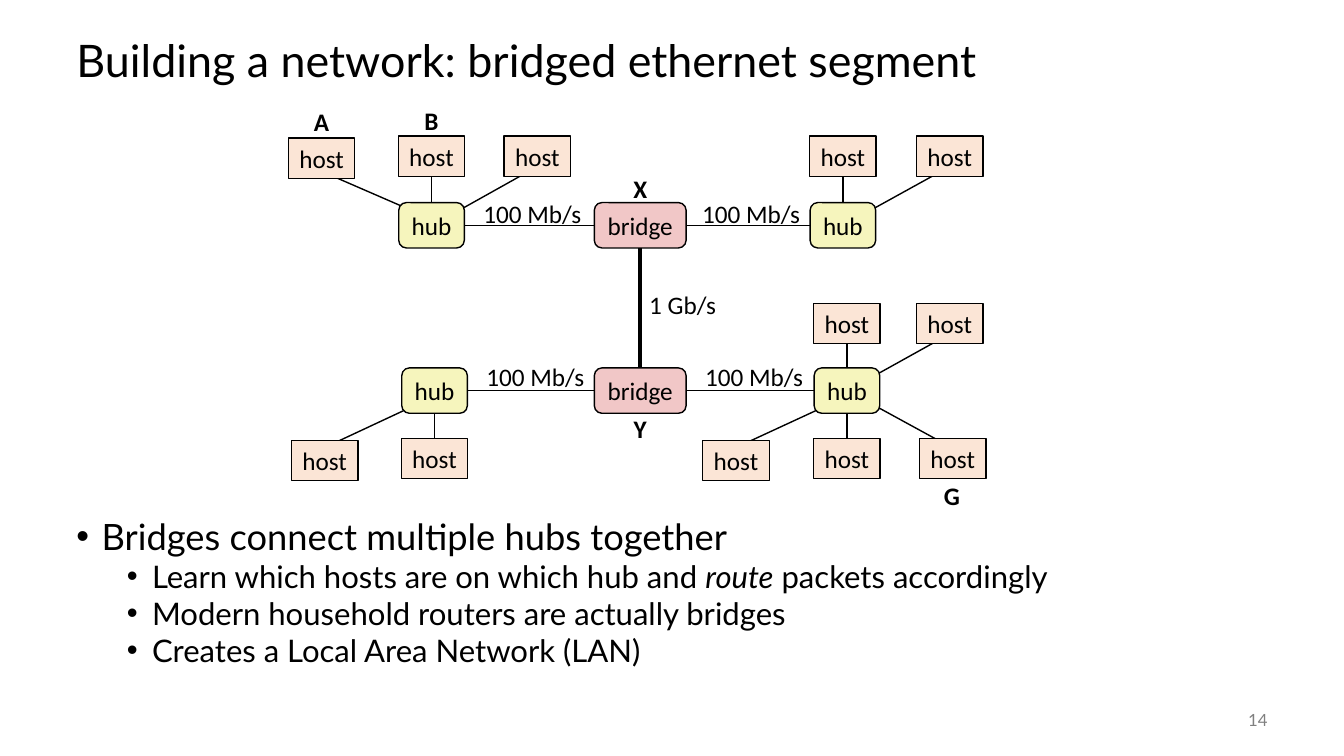
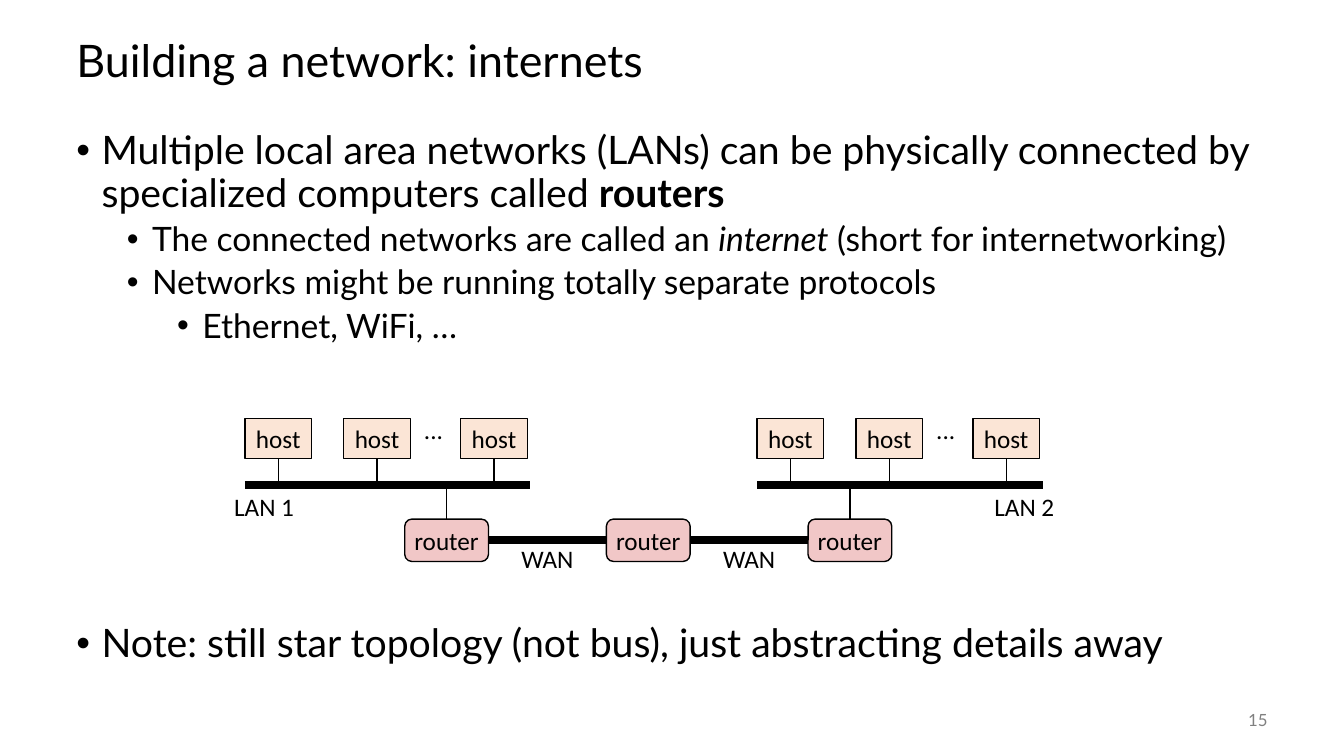
"""Two lecture slides on building networks from hubs, bridges and routers."""
from itertools import pairwise

from lxml.etree import SubElement
from pptx import Presentation
from pptx.dml.color import RGBColor
from pptx.enum.shapes import MSO_CONNECTOR, MSO_SHAPE
from pptx.enum.text import MSO_ANCHOR, PP_ALIGN
from pptx.oxml.ns import qn
from pptx.util import Inches, Pt

BLACK = RGBColor(0x00, 0x00, 0x00)
GRAY = RGBColor(0x80, 0x80, 0x80)
PEACH = RGBColor(0xFB, 0xE5, 0xD6)
YELLOW = RGBColor(0xF6, 0xF5, 0xBD)
PINK = RGBColor(0xF1, 0xC7, 0xC7)

NODES = {
    "host": (MSO_SHAPE.RECTANGLE, 0.66, 0.4, PEACH),
    "hub": (MSO_SHAPE.ROUNDED_RECTANGLE, 0.65, 0.45, YELLOW),
    "bridge": (MSO_SHAPE.ROUNDED_RECTANGLE, 0.91, 0.45, PINK),
    "router": (MSO_SHAPE.ROUNDED_RECTANGLE, 0.83, 0.42, PINK),
}
LABEL_WIDTH, LABEL_HEIGHT = 1.2, 0.4
TOP, LEFT, BOTTOM, RIGHT = range(4)


def add_node(slide, text, center, top, bold=False):
    """Add a network device, or a bare label when the text names no device."""
    if text in NODES:
        outline, width, height, fill = NODES[text]
        node = slide.shapes.add_shape(outline, Inches(center - width / 2), Inches(top),
                                      Inches(width), Inches(height))
        node.shadow.inherit = False
        node.fill.solid()
        node.fill.fore_color.rgb = fill
        node.line.color.rgb = BLACK
        node.line.width = Pt(1)
    else:
        node = slide.shapes.add_textbox(Inches(center - LABEL_WIDTH / 2), Inches(top),
                                        Inches(LABEL_WIDTH), Inches(LABEL_HEIGHT))
    frame = node.text_frame
    frame.word_wrap = False
    frame.vertical_anchor = MSO_ANCHOR.MIDDLE
    paragraph = frame.paragraphs[0]
    paragraph.alignment = PP_ALIGN.CENTER
    run = paragraph.add_run()
    run.text = text
    run.font.name = "Calibri"
    run.font.size = Pt(18)
    run.font.bold = bold
    run.font.color.rgb = BLACK
    return node


def add_link(slide, start=(0, 0), end=(0, 0), weight=1, begin_at=None, end_at=None):
    """Add a line between points, or joined to (node, side) pairs."""
    link = slide.shapes.add_connector(MSO_CONNECTOR.STRAIGHT, Inches(start[0]), Inches(start[1]),
                                      Inches(end[0]), Inches(end[1]))
    if begin_at:
        link.begin_connect(*begin_at)
    if end_at:
        link.end_connect(*end_at)
    link.line.color.rgb = BLACK
    link.line.width = Pt(weight)
    SubElement(link._element.spPr, qn("a:effectLst"))


BRIDGED_BULLETS = [
    (0, [("Bridges connect multiple hubs together", "")]),
    (1, [("Learn which hosts are on which hub and ", ""), ("route", "italic"),
         (" packets accordingly", "")]),
    (1, [("Modern household routers are actually bridges", "")]),
    (1, [("Creates a Local Area Network (LAN)", "")]),
]
INTERNET_BULLETS = [
    (0, [("Multiple local area networks (LANs) can be physically connected by "
          "specialized computers called ", ""), ("routers", "bold")]),
    (1, [("The connected networks are called an ", ""), ("internet", "italic"),
         (" (short for internetworking)", "")]),
    (1, [("Networks might be running totally separate protocols", "")]),
    (2, [("Ethernet, WiFi, …", "")]),
]
INTERNET_NOTE = [
    (0, [("Note: still star topology (not bus), just abstracting details away", "")]),
]
PAGES = [
    ("Building a network: bridged ethernet segment", "14",
     [(5.14, 1.61, 0.8, (25.9, 22.2, 22.2), BRIDGED_BULLETS)]),
    ("Building a network: internets", "15",
     [(1.25, 2.5, 0.9, (28, 24, 24), INTERNET_BULLETS),
      (6.14, 0.6, 0.9, (28, 24, 24), INTERNET_NOTE)]),
]

prs = Presentation()
prs.slide_width = Inches(13.33)
prs.slide_height = Inches(7.5)

for title, number, bodies in PAGES:
    slide = prs.slides.add_slide(prs.slide_layouts[6])
    for text, box, size, color, alignment in [
        (title, (0.66, 0.25, 12, 0.75), 32, BLACK, PP_ALIGN.LEFT),
        (number, (11.67, 6.95, 1, 0.4), 12, GRAY, PP_ALIGN.RIGHT),
    ]:
        frame = slide.shapes.add_textbox(*map(Inches, box)).text_frame
        frame.word_wrap = True
        frame.vertical_anchor = MSO_ANCHOR.MIDDLE
        paragraph = frame.paragraphs[0]
        paragraph.alignment = alignment
        paragraph.line_spacing = 0.9
        run = paragraph.add_run()
        run.text = text
        run.font.name = "Lato"
        run.font.size = Pt(size)
        run.font.color.rgb = color

    for top, height, spacing, sizes, bullets in bodies:
        frame = slide.shapes.add_textbox(Inches(0.66), Inches(top), Inches(12), Inches(height)).text_frame
        frame.word_wrap = True
        for index, (level, runs) in enumerate(bullets):
            paragraph = frame.add_paragraph() if index else frame.paragraphs[0]
            properties = paragraph._p.get_or_add_pPr()
            properties.set("marL", str(Inches(0.25 + 0.5 * level)))
            properties.set("indent", str(Inches(-0.25)))
            SubElement(properties, qn("a:buFont"), typeface="Arial")
            SubElement(properties, qn("a:buChar"), char="•")
            paragraph.level = level
            paragraph.line_spacing = spacing
            if index:
                paragraph.space_before = Pt(5)
            for text, style in runs:
                run = paragraph.add_run()
                run.text = text
                run.font.name = "Lato"
                run.font.size = Pt(sizes[level])
                run.font.bold = style == "bold"
                run.font.italic = style == "italic"
                run.font.color.rgb = BLACK

bridged, internet = prs.slides

BRIDGE_X = 6.35
SEGMENTS = [
    (2.01, 1.92, [
        (4.28, 5.28, [(-1.09, 1.37), (0, 1.35), (1.05, 1.35)]),
        (8.36, 7.45, [(0, 1.35), (1.06, 1.35)]),
    ]),
    (3.65, 3.53, [
        (4.31, 5.31, [(-1.09, 4.37), (0, 4.35)]),
        (8.4, 7.48, [(-1.1, 4.37), (0, 4.35), (1.05, 4.35), (0, 3.01), (1.02, 3.01)]),
    ]),
]
bridges = []
for row_top, speed_top, hubs in SEGMENTS:
    bridge = add_node(bridged, "bridge", BRIDGE_X, row_top)
    bridges.append(bridge)
    for hub_x, speed_x, hosts in hubs:
        for offset, host_top in hosts:
            if offset:
                above = host_top < row_top
                hub_end = hub_x + (0.25 if offset > 0 else -0.17)
                host_end = hub_x + offset - (0.05 if offset > 0 else 0)
                add_link(bridged, (host_end, host_top + (0.33 if above else 0.07)),
                         (hub_end, row_top + (0.09 if above else 0.36)))
        hub = add_node(bridged, "hub", hub_x, row_top)
        for offset, host_top in hosts:
            host = add_node(bridged, "host", hub_x + offset, host_top)
            if not offset:
                host_side, hub_side = (BOTTOM, TOP) if host_top < row_top else (TOP, BOTTOM)
                add_link(bridged, begin_at=(host, host_side), end_at=(hub, hub_side))
        hub_side, bridge_side = (RIGHT, LEFT) if hub_x < BRIDGE_X else (LEFT, RIGHT)
        add_link(bridged, begin_at=(hub, hub_side), end_at=(bridge, bridge_side))
        add_node(bridged, "100 Mb/s", speed_x, speed_top)

add_link(bridged, weight=3, begin_at=(bridges[0], BOTTOM), end_at=(bridges[1], TOP))
add_node(bridged, "1 Gb/s", 6.77, 2.82)
for letter, center, top in [("A", 3.19, 1), ("B", 4.28, 0.99), ("G", 9.44, 4.72),
                            ("X", BRIDGE_X, 1.67), ("Y", BRIDGE_X, 4.05)]:
    add_node(bridged, letter, center, top, bold=True)

BUS_Y, BUS_LENGTH = 4.81, 2.83
for bus_left, lan, lan_x in [(2.43, "LAN 1", 2.62), (7.51, "LAN 2", 10.16)]:
    add_link(internet, (bus_left, BUS_Y), (bus_left + BUS_LENGTH, BUS_Y), weight=6)
    for offset in (0.33, 1.31, 2.47):
        host = add_node(internet, "host", bus_left + offset, 4.15)
        add_link(internet, end=(bus_left + offset, BUS_Y), begin_at=(host, BOTTOM))
    add_node(internet, "...", bus_left + 1.87, 4.06)
    add_node(internet, lan, lan_x, 4.82)

ROUTER_XS = [4.43, 6.43, 8.43]
routers = [add_node(internet, "router", center, 5.15) for center in ROUTER_XS]
for center, router in [(ROUTER_XS[0], routers[0]), (ROUTER_XS[-1], routers[-1])]:
    add_link(internet, start=(center, BUS_Y), end_at=(router, TOP))
for near, far in pairwise(routers):
    add_link(internet, weight=6, begin_at=(near, RIGHT), end_at=(far, LEFT))
for near_x, far_x in pairwise(ROUTER_XS):
    add_node(internet, "WAN", (near_x + far_x) / 2, 5.34)

prs.save("out.pptx")
